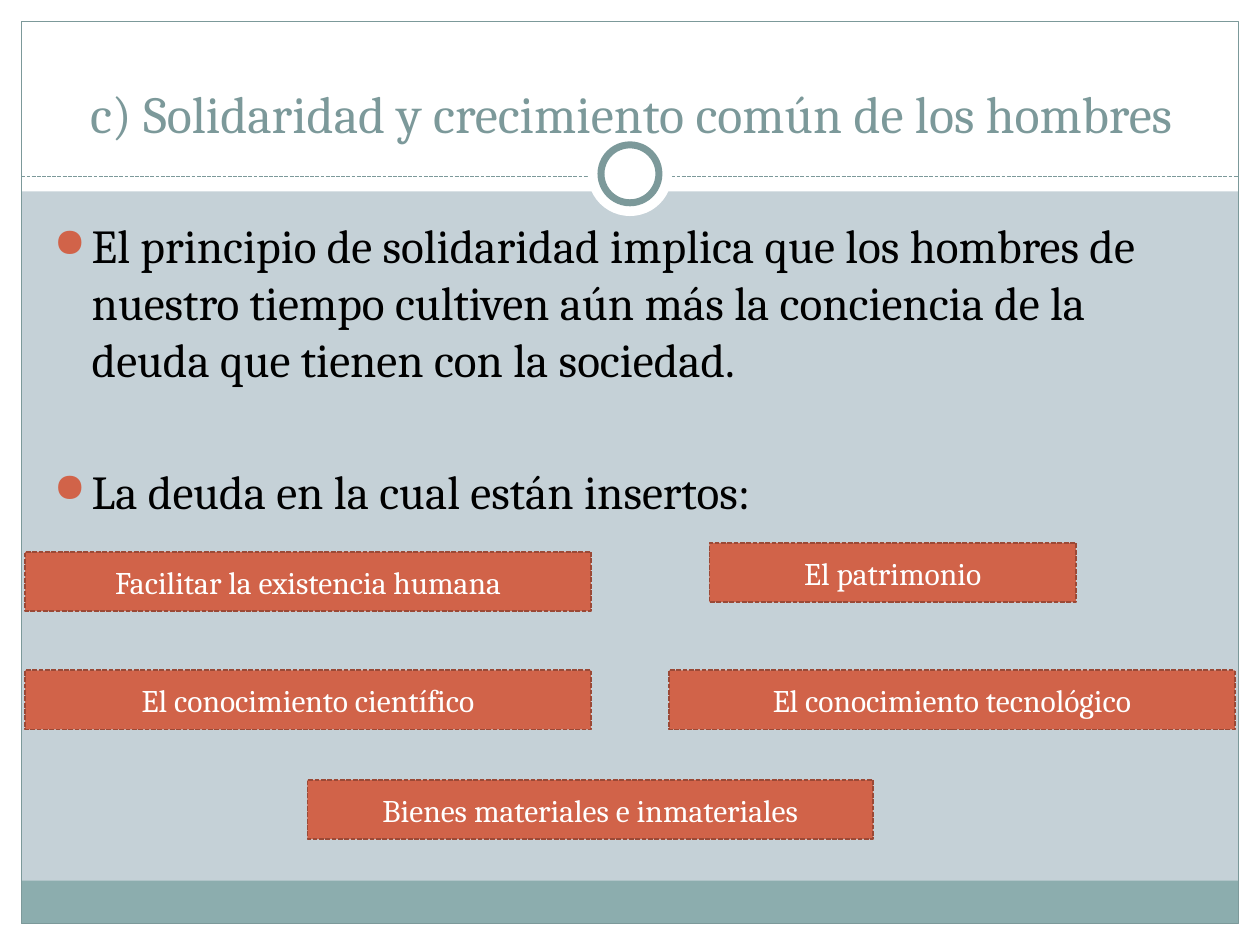
from lxml import etree
from pptx import Presentation
from pptx.dml.color import RGBColor
from pptx.enum.dml import MSO_LINE
from pptx.enum.shapes import MSO_CONNECTOR, MSO_SHAPE
from pptx.enum.text import MSO_ANCHOR, MSO_AUTO_SIZE, PP_ALIGN
from pptx.oxml.ns import qn
from pptx.util import Inches, Pt

WHITE = RGBColor(0xFF, 0xFF, 0xFF)
BLACK = RGBColor(0, 0, 0)
MIST = RGBColor(0xC5, 0xD1, 0xD7)
TEAL = RGBColor(0x8C, 0xAD, 0xAE)
SLATE = RGBColor(0x7C, 0x99, 0x9A)
BRICK = RGBColor(0xD1, 0x63, 0x49)
DARK_BRICK = RGBColor(0x9B, 0x49, 0x36)
FONT = "Cambria"

# Content
TITLE = "c) Solidaridad y crecimiento común de los hombres"
BULLETS = [  # text, space before in points
    ("El principio de solidaridad implica que los hombres de nuestro tiempo "
     "cultiven aún más la conciencia de la deuda que tienen con la sociedad.", 5.4),
    ("La deuda en la cual están insertos:", 43),
]
WIDE, NARROW, BOX_HEIGHT = 4.49, 2.91, 0.47
BOXES = [  # text, left, top, width
    ("Facilitar la existencia humana", 0.2, 4.38, WIDE),
    ("El patrimonio", 5.63, 4.31, NARROW),
    ("El conocimiento científico", 0.2, 5.32, WIDE),
    ("El conocimiento tecnológico", 5.31, 5.32, WIDE),
    ("Bienes materiales e inmateriales", 2.44, 6.19, WIDE),
]

# Frame geometry
WIDTH, HEIGHT, MARGIN = 10, 7.5, 0.17
HEADER, RULE_Y, FOOTER = 1.52, 1.4, 0.34
RING_X, RING_Y = WIDTH / 2, 1.38
INNER_WIDTH, INNER_HEIGHT = WIDTH - 2 * MARGIN, HEIGHT - 2 * MARGIN

presentation = Presentation()
presentation.slide_width, presentation.slide_height = Inches(WIDTH), Inches(HEIGHT)
slide = presentation.slides.add_slide(presentation.slide_layouts[5])
slide.background.fill.solid()
slide.background.fill.fore_color.rgb = MIST


def add_box(left, top, width, height, fill=None, line=None, weight=0.75,
            dash=None, kind=MSO_SHAPE.RECTANGLE):
    shape = slide.shapes.add_shape(
        kind, Inches(left), Inches(top), Inches(width), Inches(height))
    shape.shadow.inherit = False
    if fill is None:
        shape.fill.background()
    else:
        shape.fill.solid()
        shape.fill.fore_color.rgb = fill
    if line is None:
        shape.line.fill.background()
    else:
        shape.line.color.rgb = line
        shape.line.width = Pt(weight)
        shape.line.dash_style = dash
    return shape


def add_circle(diameter, **style):
    add_box(RING_X - diameter / 2, RING_Y - diameter / 2, diameter, diameter,
            kind=MSO_SHAPE.OVAL, **style)


def write(paragraph, text, size, color, align=PP_ALIGN.CENTER, before=0):
    paragraph.alignment = align
    paragraph.space_before = Pt(before)
    run = paragraph.add_run()
    run.text = text
    run.font.name = FONT
    run.font.size = Pt(size)
    run.font.color.rgb = color


def add_bullet(paragraph):
    properties = paragraph._p.get_or_add_pPr()
    properties.set("marL", str(Inches(0.3)))
    properties.set("indent", str(-Inches(0.3)))
    color = etree.SubElement(properties, qn("a:buClr"))
    etree.SubElement(color, qn("a:srgbClr"), val=str(BRICK))
    etree.SubElement(properties, qn("a:buSzPct"), val="85000")
    etree.SubElement(properties, qn("a:buChar"), char="●")


# Margins, header band and footer band
for area in [(0, HEIGHT - MARGIN, WIDTH, MARGIN), (0, 0, WIDTH, HEADER),
             (0, 0, MARGIN, HEIGHT), (WIDTH - MARGIN, 0, MARGIN, HEIGHT)]:
    add_box(*area, fill=WHITE)
add_box(MARGIN, HEIGHT - MARGIN - FOOTER, INNER_WIDTH, FOOTER, fill=TEAL)
add_box(MARGIN, MARGIN, INNER_WIDTH, INNER_HEIGHT, line=SLATE)

# Dashed rule with the ring
rule = slide.shapes.add_connector(
    MSO_CONNECTOR.STRAIGHT, Inches(MARGIN), Inches(RULE_Y),
    Inches(WIDTH - MARGIN), Inches(RULE_Y))
rule.line.color.rgb = SLATE
rule.line.width = Pt(0.75)
rule.line.dash_style = MSO_LINE.SQUARE_DOT
etree.SubElement(rule._element.spPr, qn("a:effectLst"))
add_circle(0.67, fill=WHITE)
add_circle(0.46, fill=WHITE, line=SLATE, weight=4)

# Title, brought in front of the header band
title = slide.shapes.title
slide.shapes._spTree.append(title._element)
title.left, title.top = Inches(0.35), Inches(0.36)
title.width, title.height = Inches(9.33), Inches(0.83)
title.text_frame.auto_size = MSO_AUTO_SIZE.NONE
title.text_frame.vertical_anchor = MSO_ANCHOR.BOTTOM
write(title.text_frame.paragraphs[0], TITLE, 29.7, SLATE)

# Bullets
body = slide.shapes.add_textbox(Inches(0.33), Inches(1.67), Inches(9.3), Inches(5))
frame = body.text_frame
frame.word_wrap = True
for index, (text, before) in enumerate(BULLETS):
    paragraph = frame.add_paragraph() if index else frame.paragraphs[0]
    write(paragraph, text, 27, BLACK, align=PP_ALIGN.LEFT, before=before)
    add_bullet(paragraph)

# Labelled boxes
for text, left, top, width in BOXES:
    box = add_box(left, top, width, BOX_HEIGHT, fill=BRICK, line=DARK_BRICK,
                  weight=0.9, dash=MSO_LINE.SQUARE_DOT)
    box.text_frame.vertical_anchor = MSO_ANCHOR.MIDDLE
    write(box.text_frame.paragraphs[0], text, 18, WHITE)

presentation.save("out.pptx")
